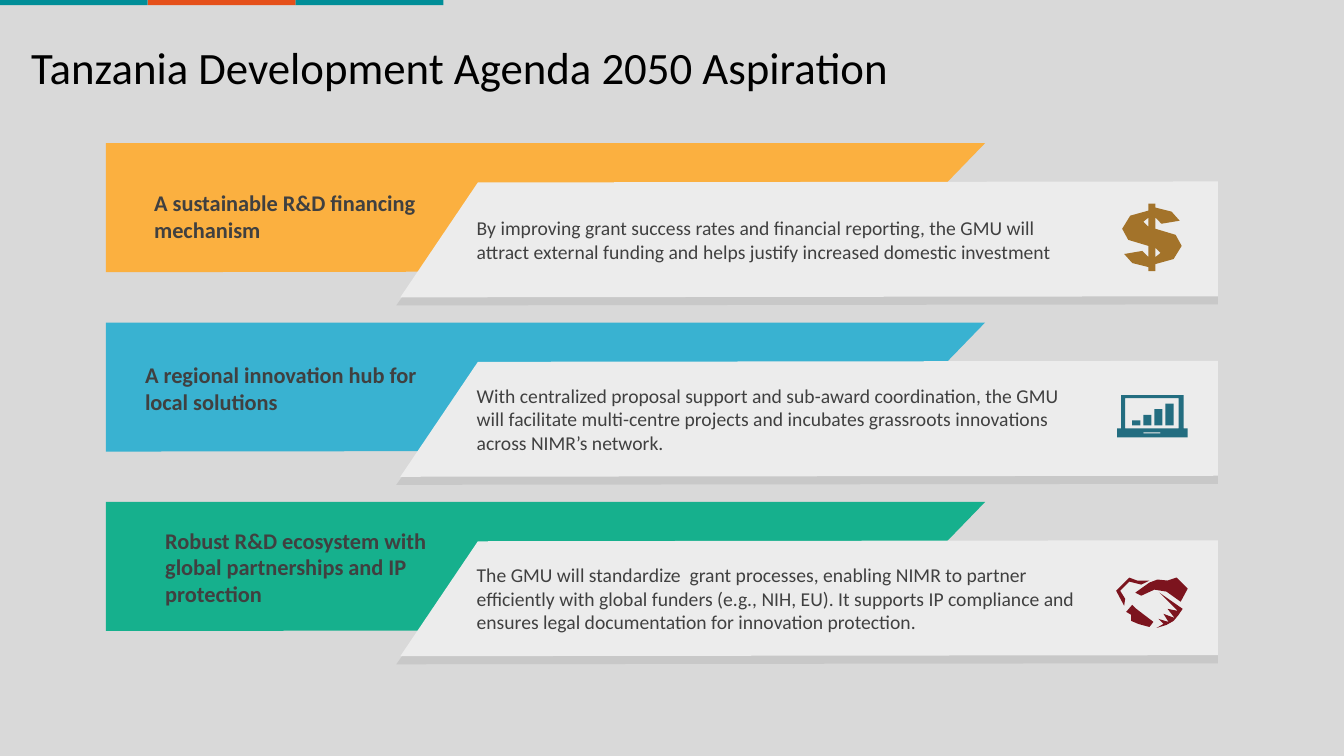
from lxml import etree
from pptx import Presentation
from pptx.dml.color import RGBColor
from pptx.enum.shapes import MSO_SHAPE as Shape
from pptx.enum.text import MSO_ANCHOR as Anchor, PP_ALIGN as Align
from pptx.oxml.ns import qn
from pptx.util import Inches, Pt

deck = Presentation()
deck.slide_width, deck.slide_height = Inches(13.33), Inches(7.5)
page = deck.slides.add_slide(deck.slide_layouts[5])
page.background.fill.solid()
page.background.fill.fore_color.rgb = RGBColor.from_string("D9D9D9")


def draw(contours, colour, left=0, top=0):
    """Fill closed contours given in hundredths of an inch from left and top."""
    builder = None
    for contour in contours:
        spots = [(Inches(left + x / 100), Inches(top + y / 100)) for x, y in contour]
        if builder is None:
            builder = page.shapes.build_freeform(*spots[0])
        else:
            builder.move_to(*spots[0])
        builder.add_line_segments(spots[1:], close=True)
    shape = builder.convert_to_shape()
    shape.shadow.inherit = False
    shape.fill.solid()
    shape.fill.fore_color.rgb = RGBColor.from_string(colour)
    shape.line.fill.background()
    return shape


def write(box, place, text, size, colour, bold=False):
    box.left, box.top, box.width, box.height = [Inches(length) for length in place]
    frame = box.text_frame
    frame.word_wrap = True
    frame.vertical_anchor = Anchor.MIDDLE
    para = frame.paragraphs[0]
    para.alignment = Align.LEFT
    span = para.add_run()
    span.text = text
    span.font.name, span.font.size, span.font.bold = "Calibri", Pt(size), bold
    span.font.color.rgb = RGBColor.from_string(colour)


# Stripes along the top edge
stripe_width = int(deck.slide_width * 0.11)
for column, colour in enumerate(("008E98", "E5501A", "008E98")):
    stripe = page.shapes.add_shape(Shape.RECTANGLE, column * stripe_width, 0,
                                   stripe_width, Inches(0.05))
    stripe.shadow.inherit = False
    stripe.fill.solid()
    stripe.fill.fore_color.rgb = RGBColor.from_string(colour)
    stripe.line.fill.background()

# Title
write(page.shapes.title, (0.21, 0.34, 12.92, 0.64),
      "Tanzania Development Agenda 2050 Aspiration", 32, "000000")

# Three aspirations: band colour, place of the label, label, description
aspirations = [
    ("FBB040", (1.43, 1.82, 3.19, 0.64), "A sustainable R&D financing mechanism",
     "By improving grant success rates and financial reporting, the GMU will attract "
     "external funding and helps justify increased domestic investment"),
    ("39B2D1", (1.34, 3.53, 3.27, 0.64), "A regional innovation hub for local solutions",
     "With centralized proposal support and sub-award coordination, the GMU will facilitate "
     "multi-centre projects and incubates grassroots innovations across NIMR’s network."),
    ("16B08D", (1.54, 5.17, 3.01, 0.91),
     "Robust R&D ecosystem with global partnerships and IP protection",
     "The GMU will standardize  grant processes, enabling NIMR to partner efficiently with "
     "global funders (e.g., NIH, EU). It supports IP compliance and ensures legal "
     "documentation for innovation protection."),
]
first_top, row_pitch = 1.42, 1.78
for row, (colour, label_place, label, description) in enumerate(aspirations):
    top = first_top + row * row_pitch
    draw([[(105, 0), (977, 0), (854, 127), (105, 128)]], colour, top=top)
    shade = draw([[(1208, 160), (393, 161), (474, 47), (1208, 46)]], "BFBFBF", top=top)
    alpha = etree.SubElement(shade.element.find(".//" + qn("a:srgbClr")), qn("a:alpha"))
    alpha.set("val", "62000")
    draw([[(1208, 152), (397, 153), (474, 39), (1208, 38)]], "ECECEC", top=top)
    write(page.shapes.add_textbox(0, 0, 0, 0), label_place, label, 16, "404040", True)
    write(page.shapes.add_textbox(0, 0, 0, 0), (4.63, top + 0.55, 6.14, 0.81),
          description, 14, "404040")

# Dollar icon: the lower half is the upper half turned around the centre
upper_half = [(39, 2), (46, 2), (46, 6), (62, 10), (70, 19), (52, 22), (46, 16), (46, 27),
              (66, 33), (72, 44), (64, 57), (46, 62)]
upper_hole = [(39, 16), (34, 20), (39, 25)]
lower_half, lower_hole = [[(85 - x, 71 - y) for x, y in part]
                          for part in (upper_half, upper_hole)]
draw([upper_half + lower_half, upper_hole, lower_hole], "A3732A", 11, 2)

# Laptop icon: lid, screen, base, slot and rising bars as left, top, right, bottom
panels = [(12, 92, 74, 125), (16, 95, 69, 125), (8, 125, 78, 134), (34, 129, 51, 130)]
panels += [(23 + 11 * bar, 117 - 5.5 * bar, 31 + 11 * bar, 122) for bar in range(4)]
draw([[(x1, y1), (x2, y1), (x2, y2), (x1, y2)] for x1, y1, x2, y2 in panels],
     "236D80", 11, 3)

# Handshake icon: right arm, left arm, knuckles, fingers
handshake = [
    [(40, 78), (48, 75), (58, 76), (67, 73), (78, 84), (71, 97), (57, 87), (45, 85),
     (32, 91), (26, 88)],
    [(7, 86), (20, 73), (28, 76), (40, 76), (32, 80), (20, 77), (11, 86), (16, 94), (15, 101)],
    [(23, 100), (27, 104), (44, 117), (40, 122), (29, 119), (22, 116), (22, 110), (17, 107)],
    [(50, 88), (73, 104), (69, 110), (64, 116), (57, 120), (47, 123), (54, 119), (49, 114),
     (59, 117), (54, 109), (65, 113), (58, 104), (68, 106)],
]
for hand_part in handshake:
    draw([hand_part], "7C141E", 11, 5)

deck.save("out.pptx")
